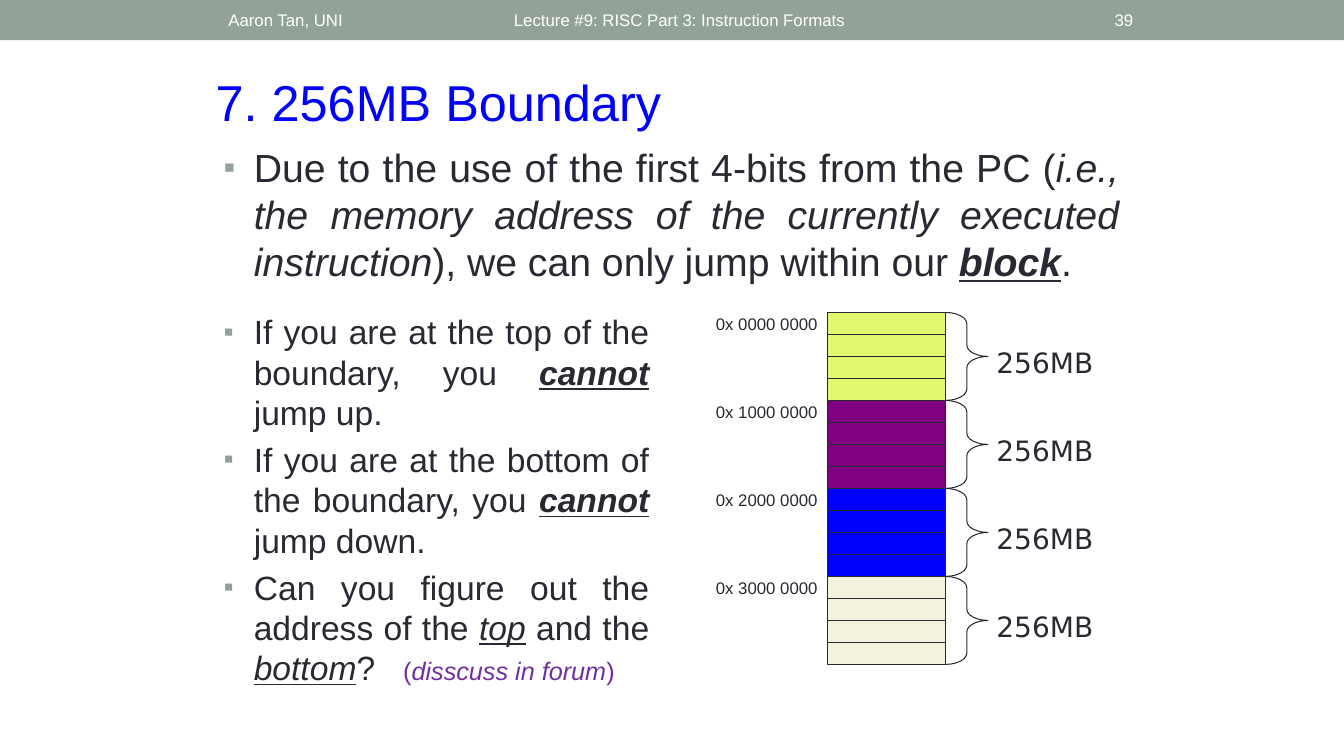
from lxml import etree
from pptx import Presentation
from pptx.dml.color import RGBColor
from pptx.enum.shapes import MSO_SHAPE
from pptx.enum.text import MSO_ANCHOR, MSO_AUTO_SIZE, PP_ALIGN
from pptx.oxml.ns import qn
from pptx.util import Inches, Pt

RECT, BRACE = MSO_SHAPE.RECTANGLE, MSO_SHAPE.RIGHT_BRACE
LEFT, MID, RIGHT, JUST = PP_ALIGN.LEFT, PP_ALIGN.CENTER, PP_ALIGN.RIGHT, PP_ALIGN.JUSTIFY
TOP, CENTER = MSO_ANCHOR.TOP, MSO_ANCHOR.MIDDLE
GROW = MSO_AUTO_SIZE.SHAPE_TO_FIT_TEXT


class Theme:
    sans, label = "Arial", "DejaVu Sans"
    bar, ink, white = "93A299", "292934", "FFFFFF"
    title, aside = "0000FF", "7030A0"
    blocks = ["E2F96F", "800080", "0000FF", "F3F2DC"]
    small, note, size, point, lead, head = 12, 18, 20, 24, 28, 36
    line = 0.75


deck = Presentation()
deck.slide_width, deck.slide_height = Inches(13.33), Inches(7.5)
COL, ROW = deck.slide_width / 100, deck.slide_height / 100
slide = deck.slides.add_slide(deck.slide_layouts[5])


def draw(kind, x, y, w, h, fill=None):
    """Add a filled shape, or an outlined one if no fill is given; lengths in % of the slide."""
    shape = slide.shapes.add_shape(kind, int(x * COL), int(y * ROW), int(w * COL), int(h * ROW))
    shape.shadow.inherit = False
    if fill:
        shape.fill.solid()
        shape.fill.fore_color.rgb = RGBColor.from_string(fill)
        shape.line.fill.background()
    else:
        shape.fill.background()
        shape.line.color.rgb = RGBColor.from_string(Theme.ink)
        shape.line.width = Pt(Theme.line)
    return shape


def write(x, y, w, h, paras, size, align=LEFT, color=Theme.ink, anchor=TOP,
          face=Theme.sans, bullet=False, wrap=True):
    """Add a text box. Runs are (text, marks): b, i, u, a for an aside, g for a wide gap."""
    box = slide.shapes.add_textbox(int(x * COL), int(y * ROW), int(w * COL), int(h * ROW))
    frame = box.text_frame
    frame.word_wrap, frame.vertical_anchor = wrap, anchor
    for n, runs in enumerate(paras):
        para = frame.paragraphs[0] if n == 0 else frame.add_paragraph()
        para.alignment = align
        if bullet:
            props = para._p.get_or_add_pPr()
            props.set("marL", str(Inches(0.3)))
            props.set("indent", str(-Inches(0.3)))
            tint = etree.SubElement(props, qn("a:buClr"))
            etree.SubElement(tint, qn("a:srgbClr"), val=Theme.bar)
            etree.SubElement(props, qn("a:buSzPct"), val="85000")
            etree.SubElement(props, qn("a:buFont"), typeface=Theme.sans)
            etree.SubElement(props, qn("a:buChar"), char="▪")
            para.space_before = Pt(size * 0.2)
        para.font.name, para.font.size = face, Pt(size)
        para.font.color.rgb = RGBColor.from_string(color)
        for words, marks in runs:
            run = para.add_run()
            run.text = words
            if "b" in marks:
                run.font.bold = True
            if "i" in marks:
                run.font.italic = True
            if "u" in marks:
                run.font.underline = True
            if "a" in marks:
                run.font.size = Pt(Theme.note)
                run.font.color.rgb = RGBColor.from_string(Theme.aside)
            if "g" in marks:
                run._r.get_or_add_rPr().set("spc", "1333")
    return box


# Top bar
draw(RECT, 0, 0, 100, 5.33, Theme.bar)
for x, w, words, align in [
    (37.5, 45, "Lecture #9: RISC Part 3: Instruction Formats", LEFT),
    (16.25, 23.75, "Aaron Tan, UNI", LEFT),
    (77.9, 7.15, "39", RIGHT),
]:
    write(x, 0.27, w, 4.8, [[(words, "")]], Theme.small, align, Theme.white, CENTER)

# Title
title = slide.shapes.title
title.left, title.top = int(15.3 * COL), int(8.8 * ROW)
title.width, title.height = int(68.8 * COL), int(9.47 * ROW)
title.text_frame.text = "7. 256MB Boundary"
title.text_frame.vertical_anchor = TOP
title.text_frame.auto_size = GROW
para = title.text_frame.paragraphs[0]
para.alignment = LEFT
para.font.name, para.font.size = Theme.sans, Pt(Theme.head)
para.font.color.rgb = RGBColor.from_string(Theme.title)

# Lead statement
lead = [[
    ("Due to the use of the first 4-bits from the PC (", ""),
    ("i.e., the memory address of the currently executed instruction", "i"),
    ("), we can only jump within our ", ""),
    ("block", "biu"),
    (".", ""),
]]
write(15.9, 18.27, 68.1, 22.4, lead, Theme.lead, JUST, bullet=True)

# Memory map: four blocks of four cells
left, top, wide, tall, cells = 61.58, 41.33, 8.78, 11.64, 4
for n, fill in enumerate(Theme.blocks):
    y = top + n * tall
    draw(RECT, left, y, wide, tall, fill)
    for k in range(cells):
        draw(RECT, left, y + k * tall / cells, wide, tall / cells)
    brace = draw(BRACE, left + wide, y, 3.15, tall)
    brace.adjustments[0] = 0.27
    write(73.35, y + 3.73, wide, 5.87, [[("256MB", "")]], Theme.size, MID,
          face=Theme.label, wrap=False)
    write(52.13, y - 0.53, 9.45, 4, [[(f"0x {n}000 0000", "")]], Theme.small, RIGHT,
          anchor=CENTER)

# Points about the boundary
points = [
    [("If you are at the top of the boundary, you ", ""), ("cannot", "biu"), (" jump up.", "")],
    [("If you are at the bottom of the boundary, you ", ""), ("cannot", "biu"),
     (" jump down.", "")],
    [("Can you figure out the address of the ", ""), ("top", "iu"), (" and the ", ""),
     ("bottom", "iu"), ("?", ""), (" ", "g"), ("(", "a"), ("disscuss in forum", "ia"),
     (")", "a")],
]
write(15.9, 40.53, 33.15, 52.67, points, Theme.point, JUST, bullet=True)

deck.save("out.pptx")
